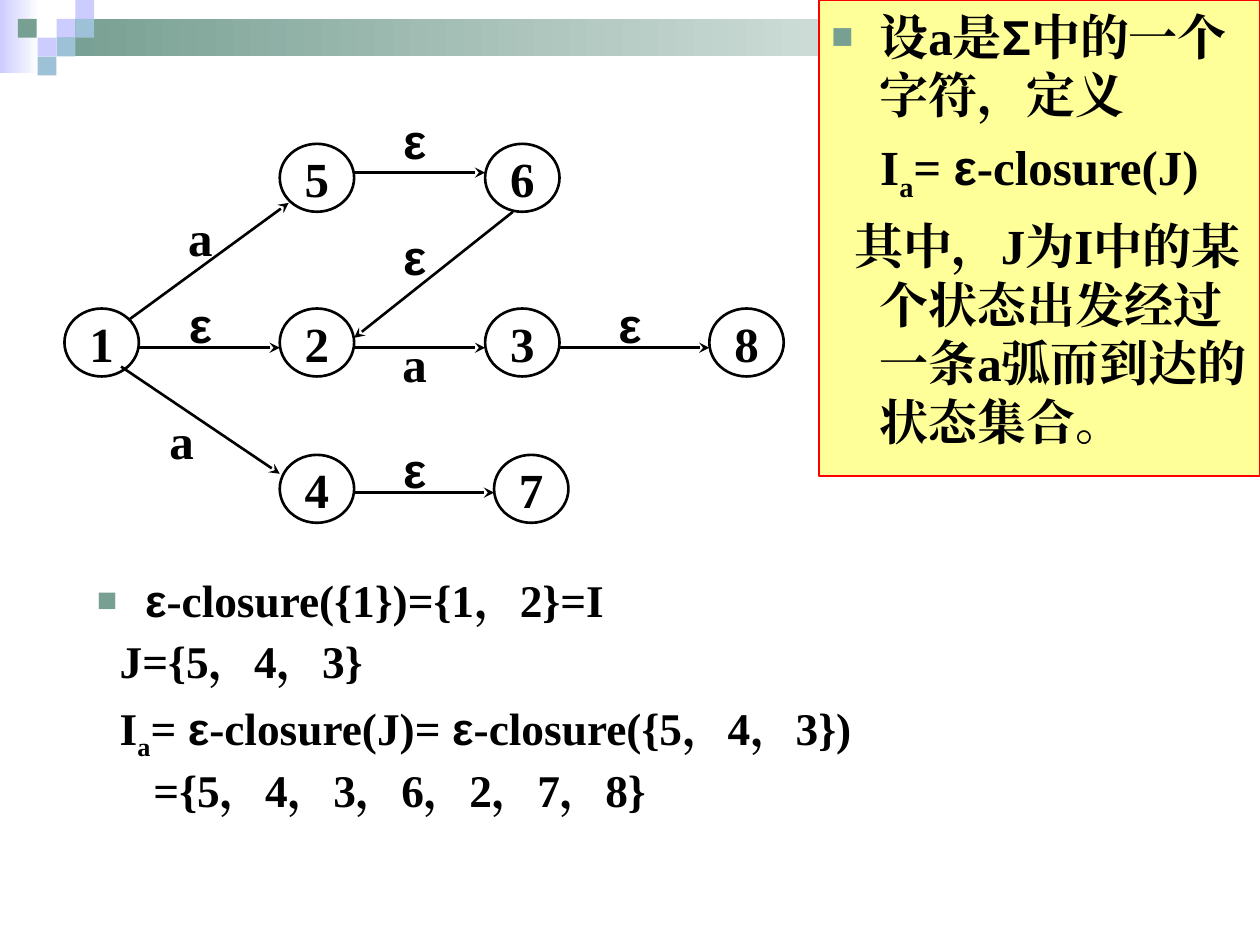
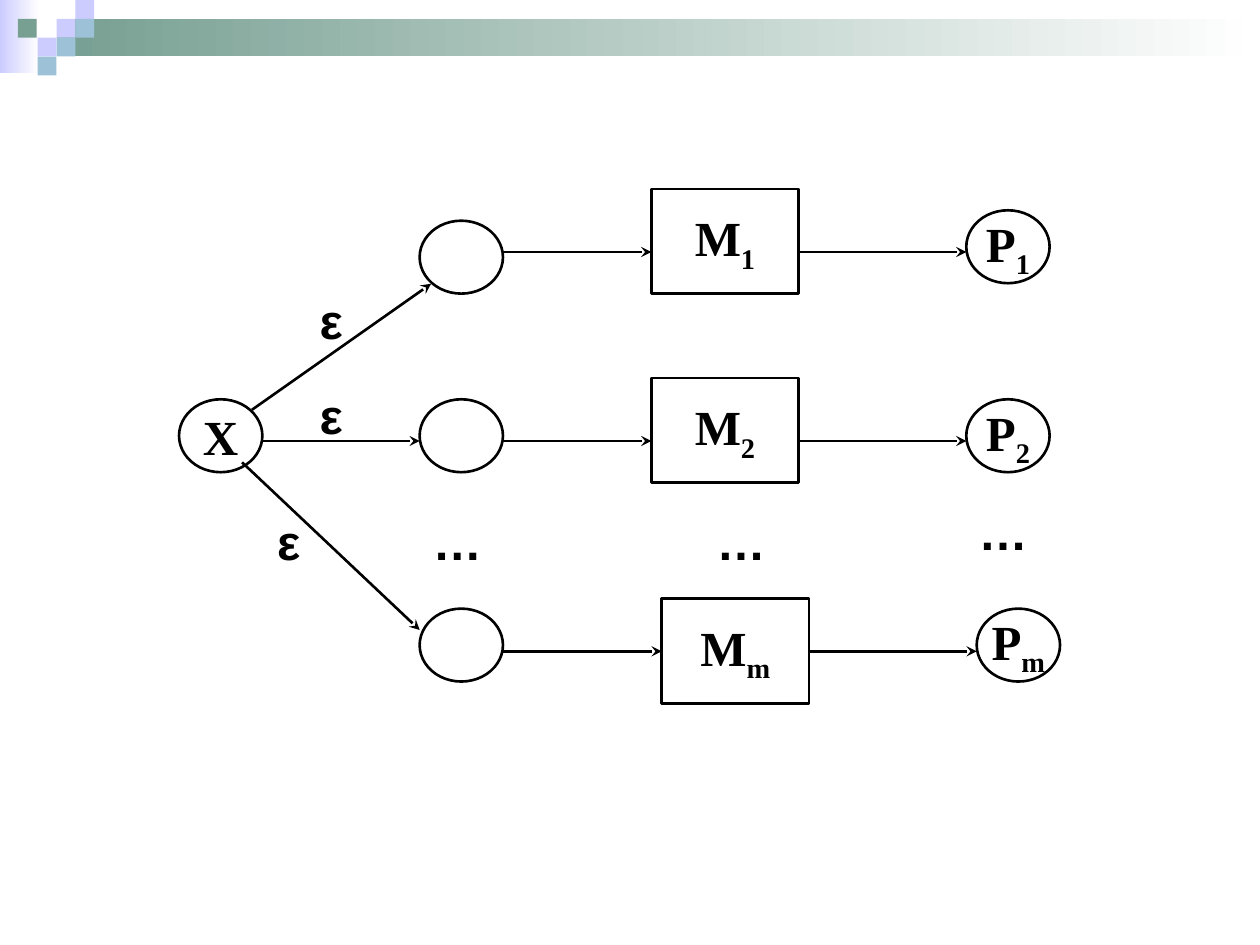
from dataclasses import dataclass

from lxml import etree
from pptx import Presentation
from pptx.dml.color import RGBColor
from pptx.enum import shapes, text
from pptx.oxml.ns import qn
from pptx.util import Cm, Pt


@dataclass(frozen=True)
class Theme:
    ink: str = "000000"
    white: str = "FFFFFF"
    green: str = "779F92"
    lilac: str = "CCCCFF"
    blue: str = "9DC2D7"
    panel: str = "FFFF99"
    panel_edge: str = "FF0000"
    serif: str = "Times New Roman"
    sans: str = "Arial"
    symbols: str = "εΣ…"
    size: float = 28
    body_size: float = 25.9
    stroke: float = 1.5
    space: float = 7


THEME = Theme()
OVAL = shapes.MSO_SHAPE.OVAL
RECTANGLE = shapes.MSO_SHAPE.RECTANGLE
HANG = 0.97
INSET = 0.46
SQUARE = 0.38


def colour(code):
    return RGBColor.from_string(code)


def add_spans(para, spans, size=THEME.size):
    for content in spans:
        span = para.add_run()
        span.text = content.removeprefix("_")
        name = THEME.sans if content in THEME.symbols else THEME.serif
        span.font.name = name
        span.font.size = Pt(size)
        span.font.bold = True
        span.font.color.rgb = colour(THEME.ink)
        properties = span._r.get_or_add_rPr()
        etree.SubElement(properties, qn("a:ea"), typeface=name)
        if content.startswith("_"):
            properties.set("baseline", "-25000")


def set_bullet(para, shown):
    properties = para._p.get_or_add_pPr()
    if not shown:
        etree.SubElement(properties, qn("a:buNone"))
        return
    tint = etree.SubElement(properties, qn("a:buClr"))
    etree.SubElement(tint, qn("a:srgbClr"), val=THEME.green)
    etree.SubElement(properties, qn("a:buSzPct"), val="75000")
    etree.SubElement(properties, qn("a:buFont"), typeface=THEME.sans)
    etree.SubElement(properties, qn("a:buChar"), char="■")


def fill_list(frame, rows, size, spacing, centred=()):
    frame.word_wrap = True
    frame.auto_size = text.MSO_AUTO_SIZE.NONE
    frame.vertical_anchor = text.MSO_ANCHOR.TOP
    for index, (start, spans) in enumerate(rows):
        para = frame.add_paragraph() if index else frame.paragraphs[0]
        left = max(HANG, start)
        properties = para._p.get_or_add_pPr()
        properties.set("marL", str(Cm(left)))
        properties.set("indent", str(Cm(start - left)))
        set_bullet(para, index == 0)
        para.alignment = (
            text.PP_ALIGN.CENTER if index in centred else text.PP_ALIGN.LEFT
        )
        para.line_spacing = spacing
        para.space_before = Pt(THEME.space if index else 0)
        add_spans(para, spans, size)


def centre_spans(shape, spans):
    frame = shape.text_frame
    frame.word_wrap = False
    frame.vertical_anchor = text.MSO_ANCHOR.MIDDLE
    para = frame.paragraphs[0]
    para.alignment = text.PP_ALIGN.CENTER
    add_spans(para, spans)


def add_block(page, kind, left, top, width, height, fill=None, edge=None, stroke=0):
    shape = page.shapes.add_shape(kind, Cm(left), Cm(top), Cm(width), Cm(height))
    shape.shadow.inherit = False
    if fill:
        shape.fill.solid()
        shape.fill.fore_color.rgb = colour(fill)
    else:
        shape.fill.background()
    if edge:
        shape.line.color.rgb = colour(edge)
        shape.line.width = Pt(stroke)
    else:
        shape.line.fill.background()
    return shape


def add_node(page, kind, place, extent, spans=()):
    shape = add_block(page, kind, *place, *extent, edge=THEME.ink, stroke=THEME.stroke)
    centre_spans(shape, spans)


def add_label(page, place, extent, content):
    box = page.shapes.add_textbox(*map(Cm, (*place, *extent)))
    centre_spans(box, [content])


def add_arrow(page, start, end):
    arrow = page.shapes.add_connector(
        shapes.MSO_CONNECTOR.STRAIGHT, *map(Cm, (*start, *end))
    )
    arrow.line.color.rgb = colour(THEME.ink)
    arrow.line.width = Pt(THEME.stroke)
    properties = arrow.element.spPr
    etree.SubElement(properties.find(qn("a:ln")), qn("a:tailEnd"), type="stealth")
    etree.SubElement(properties, qn("a:effectLst"))


def add_fade(page, left, top, width, height, tint):
    band = add_block(page, RECTANGLE, left, top, width, height)
    band.fill.gradient()
    band.fill.gradient_angle = 0
    for stop, position, code in zip(band.fill.gradient_stops, (0, 1), (tint, THEME.white)):
        stop.position = position
        stop.color.rgb = colour(code)
    return band


def decorate_master(deck, page):
    parts = [
        add_fade(page, 0, 0, 0.79, 1.47, THEME.lilac),
        add_fade(page, 1.14, SQUARE, 24.26, 2 * SQUARE, THEME.green),
    ]
    squares = {
        THEME.lilac: [(3, 1), (4, 0), (2, 2)],
        THEME.blue: [(4, 1), (3, 2), (2, 3)],
        THEME.green: [(0.95, 1)],
    }
    for tint, cells in squares.items():
        for column, row in cells:
            parts.append(
                add_block(page, RECTANGLE, column * SQUARE, row * SQUARE, SQUARE, SQUARE, tint)
            )
    tree = deck.slide_master.element.cSld.spTree
    for number, part in enumerate(parts, 100):
        part.element.nvSpPr.cNvPr.set("id", str(number))
        tree.append(part.element)


def build_closure_page(page):
    page.shapes.title.element.getparent().remove(page.shapes.title.element)
    body = page.placeholders[1]
    body.left, body.top, body.width, body.height = map(Cm, (1.7, 11.53, 22.5, 5.72))
    fill_list(
        body.text_frame,
        [
            (0, ["ε", "-closure({1})={1，2}=I"]),
            (INSET, ["J={5，4，3}"]),
            (INSET, ["I", "_a", "= ", "ε", "-closure(J)= ", "ε", "-closure({5，4，3})"]),
            (1.14, ["={5，4，3，6，2，7，8}"]),
        ],
        THEME.body_size,
        0.9,
    )

    extent = (1.5, 1.37)
    states = {
        "1": (1.3, 6.22), "2": (5.64, 6.22), "3": (9.78, 6.22), "8": (14.3, 6.22),
        "5": (5.64, 2.9), "6": (9.78, 2.9),
        "4": (5.64, 9.17), "7": (9.96, 9.17),
    }
    for name, place in states.items():
        add_node(page, OVAL, place, extent, [name])

    levels = {3.48: ["56"], 7.01: ["12", "23", "38"], 9.93: ["47"]}
    for level, pairs in levels.items():
        for source, target in pairs:
            add_arrow(page, (states[source][0] + extent[0], level), (states[target][0], level))
    add_arrow(page, (2.62, 6.43), (5.82, 4.09))
    add_arrow(page, (10.34, 4.27), (7.14, 6.81))
    add_arrow(page, (2.44, 7.39), (5.64, 9.55))

    labels = {
        "a": [(7.32, 6.63), (2.62, 8.18), (3, 4.09)],
        "ε": [(3, 5.84), (11.66, 5.84), (7.32, 4.47), (7.32, 2.13), (7.32, 8.76)],
    }
    for content, places in labels.items():
        for place in places:
            add_label(page, place, (2.08, 1.37), content)

    panel = add_block(
        page, RECTANGLE, 16.51, 0, 8.89, 9.6, THEME.panel, THEME.panel_edge, 0.75
    )
    fill_list(
        panel.text_frame,
        [
            (0, ["设a是", "Σ", "中的一个字符，定义"]),
            (0, ["I", "_a", "= ", "ε", "-closure(J)"]),
            (INSET, ["其中，J为I中的某个状态出发经过一条a弧而到达的状态集合。"]),
        ],
        THEME.size,
        1.0,
        centred=(1,),
    )


def build_machine_page(page):
    circle = (1.68, 1.47)
    machine = (2.97, 2.11)
    state_left = 8.46
    add_node(page, OVAL, (3.61, 8.05), circle, ["X"])
    rows = [
        ("_1", 5.08, 4.45, 3.81, 4.24, 0),
        ("_2", 8.89, 8.05, 7.62, 8.05, 0),
        ("_m", 13.13, 12.27, 12.07, 12.27, 0.21),
    ]
    for index, level, state_top, machine_top, final_top, shift in rows:
        machine_left = 13.13 + shift
        final_left = 19.48 + shift
        add_node(page, OVAL, (state_left, state_top), circle)
        add_node(page, RECTANGLE, (machine_left, machine_top), machine, ["M", index])
        add_node(page, OVAL, (final_left, final_top), circle, ["P", index])
        add_arrow(page, (state_left + circle[0], level), (machine_left, level))
        add_arrow(page, (machine_left + machine[0], level), (final_left, level))

    add_arrow(page, (5.08, 8.26), (8.69, 5.72))
    add_arrow(page, (5.28, 8.89), (state_left, 8.89))
    add_arrow(page, (4.88, 9.32), (state_left, 12.7))

    labels = {
        "ε": [(5.51, 7.62), (5.51, 5.72), (4.65, 10.16)],
        "…": [(8.05, 10.16), (13.77, 10.16), (19.05, 9.96)],
    }
    for content, places in labels.items():
        for place in places:
            add_label(page, place, (2.34, 1.47), content)


def main():
    deck = Presentation()
    deck.slide_width, deck.slide_height = Cm(25.4), Cm(19.05)
    closure_page = deck.slides.add_slide(deck.slide_layouts[1])
    decorate_master(deck, closure_page)
    build_closure_page(closure_page)
    build_machine_page(deck.slides.add_slide(deck.slide_layouts[6]))
    deck.save("out.pptx")


if __name__ == "__main__":
    main()
